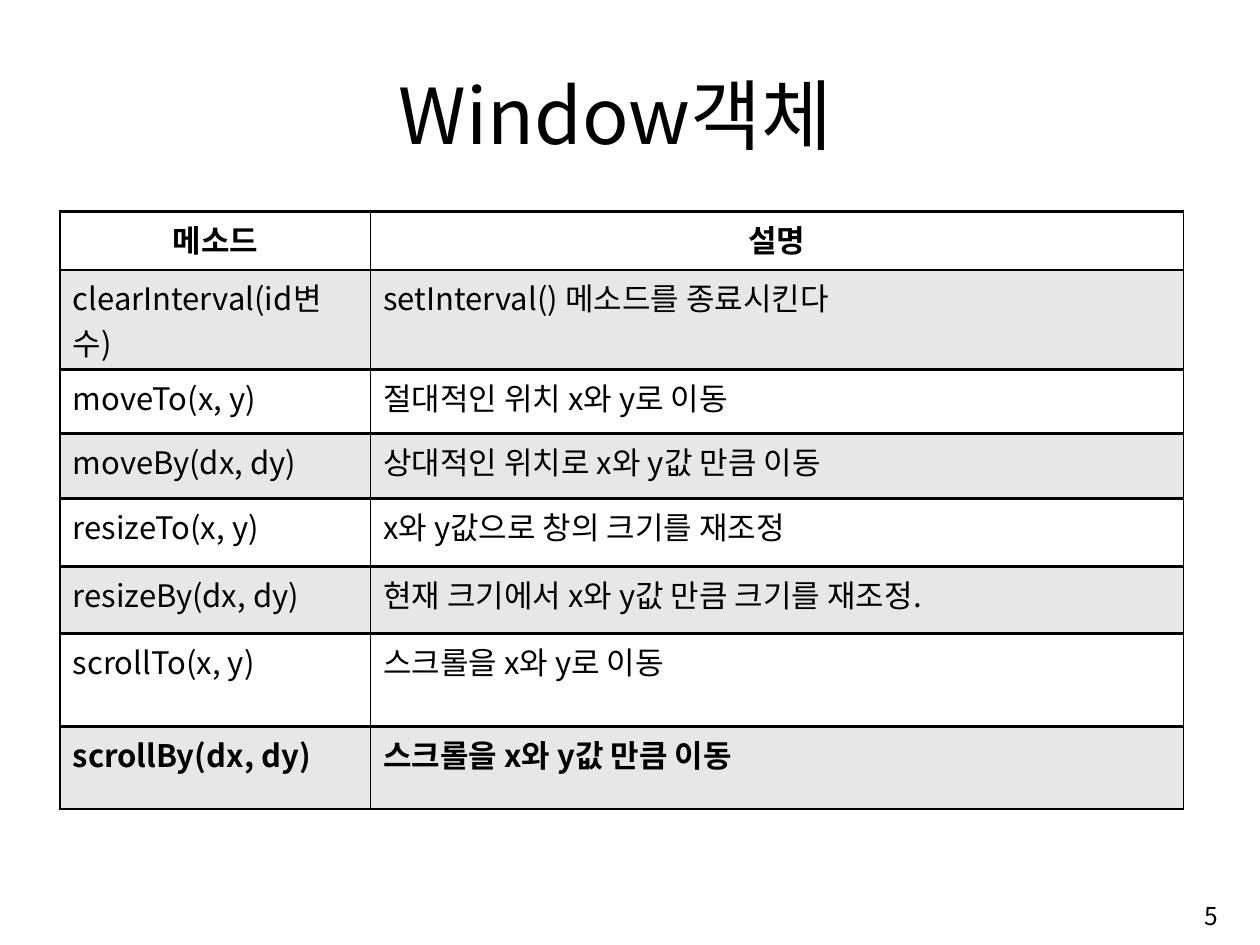
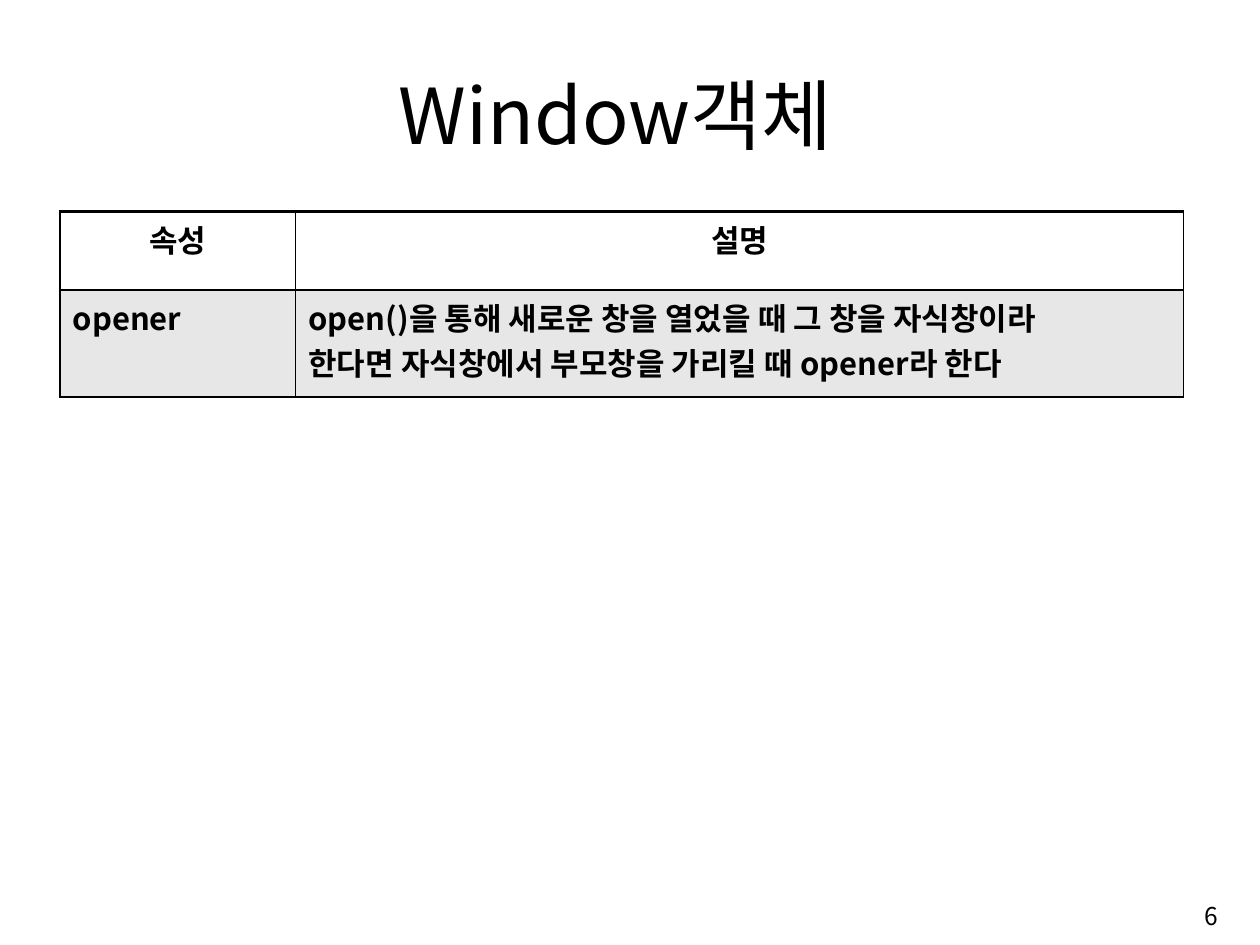
from lxml import etree
from pptx import Presentation, util as u
from pptx.dml.color import RGBColor
from pptx.enum import text
from pptx.oxml.ns import qn

FONT = "Noto Sans CJK KR"
BLACK = RGBColor(0x00, 0x00, 0x00)
WHITE = RGBColor(0xFF, 0xFF, 0xFF)
GREY = RGBColor(0xE7, 0xE7, 0xE7)
WIDTH, HEIGHT = u.Inches(12.99), u.Inches(9.74)
TABLE_LEFT, TABLE_TOP, TABLE_WIDTH = u.Inches(0.62), u.Inches(2.18), u.Inches(11.58)
LEFT, CENTER, RIGHT = text.PP_ALIGN.LEFT, text.PP_ALIGN.CENTER, text.PP_ALIGN.RIGHT
THIN, THICK = 1, 1.98

# Each page: number, first column width, row heights, rows
PAGES = [
    (5, 3.2, [0.6, 1.03, 0.66, 0.67, 0.7, 0.69, 0.96, 0.85], [
        ("메소드", "설명"),
        ("clearInterval(id변수)", "setInterval() 메소드를 종료시킨다"),
        ("moveTo(x, y)", "절대적인 위치 x와 y로 이동"),
        ("moveBy(dx, dy)", "상대적인 위치로 x와 y값 만큼 이동"),
        ("resizeTo(x, y)", "x와 y값으로 창의 크기를 재조정"),
        ("resizeBy(dx, dy)", "현재 크기에서 x와 y값 만큼 크기를 재조정."),
        ("scrollTo(x, y)", "스크롤을 x와 y로 이동"),
        ("scrollBy(dx, dy)", "스크롤을 x와 y값 만큼 이동"),
    ]),
    (6, 2.43, [0.81, 1.1], [
        ("속성", "설명"),
        ("opener", "open()을 통해 새로운 창을 열었을 때 그 창을 자식창이라\n"
                   "한다면 자식창에서 부모창을 가리킬 때 opener라 한다"),
    ]),
]


def write(frame, words, size, align, bold=False):
    frame.text = words
    frame.word_wrap = True
    for para in frame.paragraphs:
        para.alignment = align
        para.font.size = u.Pt(size)
        para.font.bold = bold
        para.font.color.rgb = BLACK
        para.font.name = FONT
        defaults = para._p.get_or_add_pPr().get_or_add_defRPr()
        etree.SubElement(defaults, qn("a:ea"), typeface=FONT)


def add_borders(cell, left_points):
    properties = cell._tc.get_or_add_tcPr()
    borders = {"a:lnL": left_points, "a:lnR": THIN, "a:lnT": THICK, "a:lnB": THICK}
    for position, (tag, points) in enumerate(borders.items()):
        line = etree.Element(qn(tag), w=str(int(u.Pt(points))))
        fill = etree.SubElement(line, qn("a:solidFill"))
        etree.SubElement(fill, qn("a:srgbClr"), val=str(BLACK))
        properties.insert(position, line)


deck = Presentation()
deck.slide_width, deck.slide_height = WIDTH, HEIGHT
title_only = deck.slide_layouts[5]

for number, first_width, heights, rows in PAGES:
    page = deck.slides.add_slide(title_only)
    page.background.fill.solid()
    page.background.fill.fore_color.rgb = WHITE

    title = page.shapes.title
    title.left, title.top = u.Inches(1.04), u.Inches(0.62)
    title.width, title.height = u.Inches(10.61), u.Inches(1.08)
    write(title.text_frame, "Window객체", 57.2, CENTER)
    title.text_frame.auto_size = text.MSO_AUTO_SIZE.NONE
    title.text_frame.vertical_anchor = text.MSO_ANCHOR.BOTTOM

    footer = page.shapes.add_textbox(u.Inches(9.98), u.Inches(9.14),
                                     u.Inches(2.68), u.Inches(0.6))
    write(footer.text_frame, str(number), 18.2, RIGHT)
    footer.text_frame.vertical_anchor = text.MSO_ANCHOR.MIDDLE

    table = page.shapes.add_table(len(rows), 2, TABLE_LEFT, TABLE_TOP,
                                  TABLE_WIDTH, u.Inches(sum(heights))).table
    table.first_row = table.horz_banding = False
    table.columns[0].width = u.Inches(first_width)
    table.columns[1].width = TABLE_WIDTH - u.Inches(first_width)

    for index, (height, words) in enumerate(zip(heights, rows)):
        table.rows[index].height = u.Inches(height)
        header, last = index == 0, index == len(rows) - 1
        for column, content in enumerate(words):
            cell = table.cell(index, column)
            write(cell.text_frame, content, 23, CENTER if header else LEFT,
                  bold=header or last)
            cell.margin_left = cell.margin_right = u.Inches(0.13)
            cell.margin_top = cell.margin_bottom = u.Inches(0.05)
            cell.fill.solid()
            cell.fill.fore_color.rgb = GREY if index % 2 else WHITE
            add_borders(cell, THIN if column else THICK)

deck.save("out.pptx")
